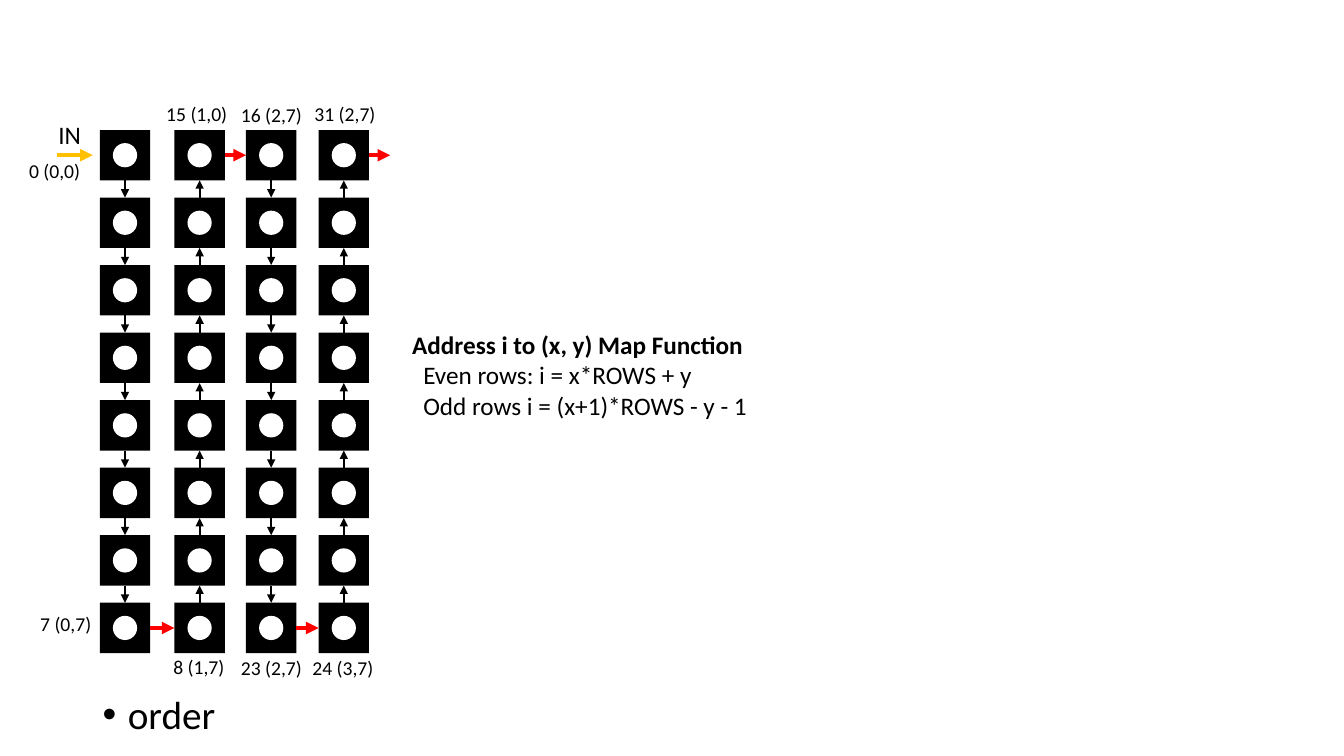
from itertools import pairwise
from lxml.etree import SubElement
from pptx import Presentation
from pptx.dml.color import RGBColor as RGB
from pptx.enum.shapes import MSO_CONNECTOR as Link, MSO_SHAPE as Kind
from pptx.enum.text import MSO_AUTO_SIZE as Auto
from pptx.oxml.ns import qn
from pptx.util import Inches, Pt

ROWS = 8
SIDE = 0.5
DOT = 0.24
STEP = 0.67
BLACK, WHITE, RED, GOLD = "000000", "FFFFFF", "FF0000", "FFC000"


def color(code):
    return RGB.from_string(code)


def style(item, values):
    for name, value in values.items():
        setattr(item, name, value)


def draw_shape(home, kind, box, code):
    shape = home.add_shape(kind, *map(Inches, box))
    shape.shadow.inherit = False
    shape.fill.solid()
    shape.fill.fore_color.rgb = color(code)
    shape.line.fill.background()
    return shape


def draw_arrow(home, start, end, code, width):
    arrow = home.add_connector(Link.STRAIGHT, *map(Inches, (*start, *end)))
    arrow.line.width = Pt(width)
    arrow.line.color.rgb = color(code)
    SubElement(arrow.line._get_or_add_ln(), qn("a:tailEnd"), type="triangle")
    SubElement(arrow._element.spPr, qn("a:effectLst"))
    return arrow


def join(home, first, second, sides, code, width):
    arrow = draw_arrow(home, (0, 0), (1, 1), code, width)
    arrow.begin_connect(first, sides[0])
    arrow.end_connect(second, sides[1])


def draw_column(slide, left, top, rising):
    group = slide.shapes.add_group_shape().shapes
    inset = (SIDE - DOT) / 2
    cells = []
    for row in range(ROWS):
        y = top + row * STEP
        cells.append(draw_shape(group, Kind.RECTANGLE, (left, y, SIDE, SIDE), BLACK))
        draw_shape(group, Kind.OVAL, (left + inset, y + inset, DOT, DOT), WHITE)
    if rising:
        cells.reverse()
    sides = (0, 2) if rising else (2, 0)
    for first, second in pairwise(cells):
        join(group, first, second, sides, BLACK, 1.5)
    return cells


def draw_grid(slide, lefts, top):
    columns = [draw_column(slide, left, top, index % 2 == 1)
               for index, left in enumerate(lefts)]
    for first, second in pairwise(columns):
        join(slide.shapes, first[-1], second[0], (3, 1), RED, 3)
    mid = top + SIDE / 2
    edge = lefts[-1] + SIDE
    out = draw_arrow(slide.shapes, (edge, mid), (edge + 0.21, mid), RED, 3)
    out.begin_connect(columns[-1][-1], 3)
    draw_arrow(slide.shapes, (lefts[0] - 0.42, mid), (lefts[0] - 0.07, mid), GOLD, 3)


def write(slide, box, lines, size, wrap=False):
    frame = slide.shapes.add_textbox(*map(Inches, box)).text_frame
    style(frame, {"word_wrap": wrap,
                  "auto_size": Auto.NONE if wrap else Auto.SHAPE_TO_FIT_TEXT})
    for index, line in enumerate(lines):
        para = frame.add_paragraph() if index else frame.paragraphs[0]
        run = para.add_run()
        run.text = line
        style(run.font, {"name": "Calibri", "size": Pt(size)})
        run.font.color.rgb = color(BLACK)
    return frame.paragraphs


def draw_labels(slide):
    write(slide, (0.48, 1.13, 0.43, 0.4), ["IN"], 18)
    for text, left, top, width in (
        ("0 (0,0)", 0.19, 1.53, 0.71),
        ("7 (0,7)", 0.3, 6.02, 0.71),
        ("8 (1,7)", 1.62, 6.45, 0.71),
        ("15 (1,0)", 1.55, 0.96, 0.81),
        ("16 (2,7)", 2.29, 0.97, 0.81),
        ("23 (2,7)", 2.29, 6.46, 0.81),
        ("24 (3,7)", 3, 6.46, 0.81),
        ("31 (2,7)", 3.02, 0.96, 0.81),
    ):
        write(slide, (left, top, width, 0.34), [text], 14)


def draw_rule(slide, box):
    head, *rest = write(slide, box, [
        "Address i to (x, y) Map Function",
        "Even rows: i = x*ROWS + y",
        "Odd rows i = (x+1)*ROWS - y - 1",
    ], 18)
    head.runs[0].font.bold = True
    for para in rest:
        para._p.get_or_add_pPr().set("marL", str(Inches(0.11)))


def draw_note(slide, box):
    para = write(slide, box, ["order"], 28, True)[0]
    style(para, {"line_spacing": 0.9, "space_before": Pt(10)})
    props = para._p.get_or_add_pPr()
    props.set("marL", str(Inches(0.25)))
    props.set("indent", str(Inches(-0.25)))
    SubElement(props, qn("a:buFont"), typeface="Arial")
    SubElement(props, qn("a:buChar"), char="•")


def main():
    deck = Presentation()
    style(deck, {"slide_width": Inches(13.33), "slide_height": Inches(7.5)})
    slide = deck.slides.add_slide(deck.slide_layouts[6])
    draw_note(slide, (0.92, 6.85, 11.5, 0.59))
    draw_grid(slide, (0.99, 1.73, 2.44, 3.16), 1.29)
    draw_labels(slide)
    draw_rule(slide, (3.99, 3.22, 3.57, 1.31))
    deck.save("out.pptx")


if __name__ == "__main__":
    main()
